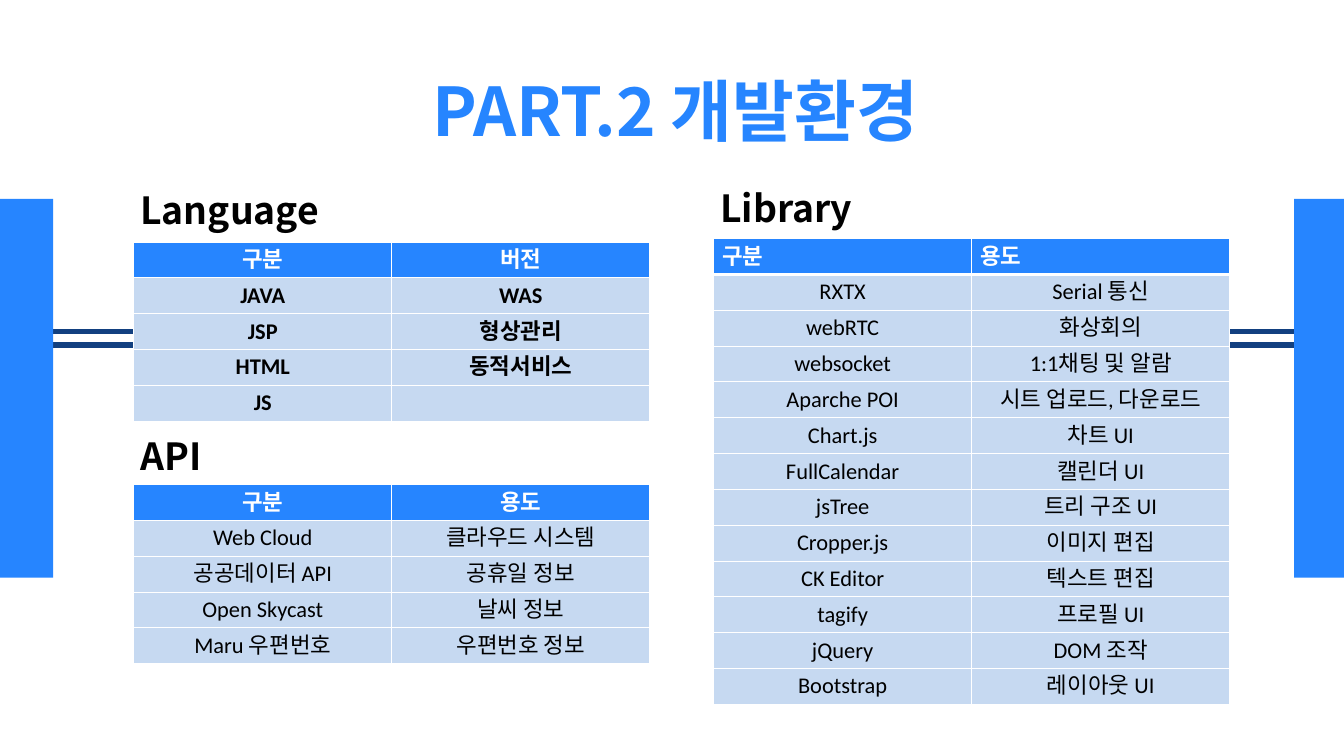
from dataclasses import dataclass

from lxml.etree import SubElement
from pptx import Presentation
from pptx.dml.color import RGBColor
from pptx.enum.shapes import MSO_CONNECTOR, MSO_SHAPE
from pptx.enum.text import PP_ALIGN
from pptx.oxml import parse_xml
from pptx.oxml.ns import nsdecls, qn
from pptx.util import Pt


@dataclass(frozen=True)
class Theme:
    blue: str = "2685FF"
    navy: str = "124080"
    pale: str = "C6D9F1"
    white: str = "FFFFFF"
    black: str = "000000"
    heading_font: str = "Noto Sans CJK KR"
    body_font: str = "Calibri"
    title: int = 72
    heading: int = 40
    body: int = 24


class Deck:
    def __init__(self, s, theme):
        self.s = s
        self.theme = theme

    def run(self, p, text, size, color, bold, font, east_asian):
        r = p.add_run()
        r.text = text
        r.font.size = Pt(size)
        r.font.bold = bold
        r.font.color.rgb = RGBColor.from_string(color)
        r.font.name = font
        SubElement(r.font._element, qn("a:ea")).set("typeface", east_asian)

    def text(self, x, y, w, h, text, size, color, align=PP_ALIGN.LEFT):
        tf = self.s.shapes.add_textbox(Pt(x), Pt(y), Pt(w), Pt(h)).text_frame
        tf.word_wrap = True
        p = tf.paragraphs[0]
        p.alignment = align
        p.line_spacing = 0.88
        font = self.theme.heading_font
        self.run(p, text, size, color, True, font, font)

    def bar(self, x, y, w, h):
        sp = self.s.shapes.add_shape(MSO_SHAPE.RECTANGLE, Pt(x), Pt(y), Pt(w), Pt(h))
        sp.shadow.inherit = False
        sp.fill.solid()
        sp.fill.fore_color.rgb = RGBColor.from_string(self.theme.blue)
        sp.line.fill.background()

    def line(self, x1, x2, y):
        cn = self.s.shapes.add_connector(
            MSO_CONNECTOR.STRAIGHT, Pt(x1), Pt(y), Pt(x2), Pt(y))
        cn.line.color.rgb = RGBColor.from_string(self.theme.navy)
        cn.line.width = Pt(6)
        SubElement(cn._element.spPr, qn("a:effectLst"))

    def borders(self, cell, bottom):
        """Draw white cell edges, 1 pt except for the bottom one."""
        tc_pr = cell._tc.get_or_add_tcPr()
        for i, (side, width) in enumerate(
                (("L", 1), ("R", 1), ("T", 1), ("B", bottom))):
            tc_pr.insert(i, parse_xml(
                f'<a:ln{side} {nsdecls("a")} w="{Pt(width)}"><a:solidFill>'
                f'<a:srgbClr val="{self.theme.white}"/></a:solidFill></a:ln{side}>'))

    def table(self, x, y, rows, bold=False, header_align=PP_ALIGN.CENTER,
              header_line=1, last_header_font=None):
        t = self.theme
        col_w, row_h = 276.5, 38.4
        table = self.s.shapes.add_table(
            len(rows), 2, Pt(x), Pt(y), Pt(2 * col_w), Pt(row_h * len(rows))).table
        for column in table.columns:
            column.width = Pt(col_w)
        for i, row in enumerate(rows):
            table.rows[i].height = Pt(row_h)
            header = i == 0
            for j, text in enumerate(row):
                cell = table.cell(i, j)
                cell.margin_left = cell.margin_right = Pt(9.14)
                cell.margin_top = cell.margin_bottom = Pt(4.57)
                cell.fill.solid()
                cell.fill.fore_color.rgb = RGBColor.from_string(
                    t.blue if header else t.pale)
                self.borders(cell, header_line if header else 1)
                if not text:
                    continue
                p = cell.text_frame.paragraphs[0]
                p.alignment = header_align if header else PP_ALIGN.CENTER
                font = last_header_font if header and j == 1 else None
                self.run(p, text, t.body, t.white if header else t.black,
                         header or bold, font or t.body_font, t.body_font)


LANGUAGES = [("구분", "버전"), ("JAVA", "WAS"), ("JSP", "형상관리"),
             ("HTML", "동적서비스"), ("JS", "")]
APIS = [("구분", "용도"), ("Web Cloud", "클라우드 시스템"),
        ("공공데이터 API", "공휴일 정보"), ("Open Skycast", "날씨 정보"),
        ("Maru 우편번호", "우편번호 정보")]
LIBRARIES = [
    ("구분", "용도"), ("RXTX", "Serial 통신"), ("webRTC", "화상회의"),
    ("websocket", "1:1채팅 및 알람"), ("Aparche POI", "시트 업로드, 다운로드"),
    ("Chart.js", "차트 UI"), ("FullCalendar", "캘린더 UI"),
    ("jsTree", "트리 구조 UI"), ("Cropper.js", "이미지 편집"),
    ("CK Editor", "텍스트 편집"), ("tagify", "프로필 UI"),
    ("jQuery", "DOM 조작"), ("Bootstrap", "레이아웃 UI"),
]


def main():
    prs = Presentation()
    prs.slide_width, prs.slide_height = Pt(1440), Pt(810)
    theme = Theme()
    deck = Deck(prs.slides.add_slide(prs.slide_layouts[6]), theme)
    left, right = 143.3, 764.6

    for y in (355, 369.4):
        for x in (22.3, 1167.8):
            deck.line(x, x + 247, y)
    deck.text(389.5, 82, 668, 94.3, "PART.2 개발환경", theme.title, theme.blue,
              PP_ALIGN.CENTER)
    for x in (-2.9, 1386.7):
        deck.bar(x, 213, 59.8, 406)

    for x, y, w, heading in ((left, 203, 284.4, "Language"),
                             (right, 201.6, 247, "Library"),
                             (left, 466.6, 284.4, "API")):
        deck.text(x, y, w, 55.4, heading, theme.heading, theme.black)
    deck.table(left, 259.2, LANGUAGES, bold=True,
               last_header_font=theme.heading_font)
    deck.table(right, 255.6, LIBRARIES, header_align=PP_ALIGN.LEFT, header_line=3)
    deck.table(left, 519.1, APIS, last_header_font=theme.heading_font)
    prs.save("out.pptx")


if __name__ == "__main__":
    main()
